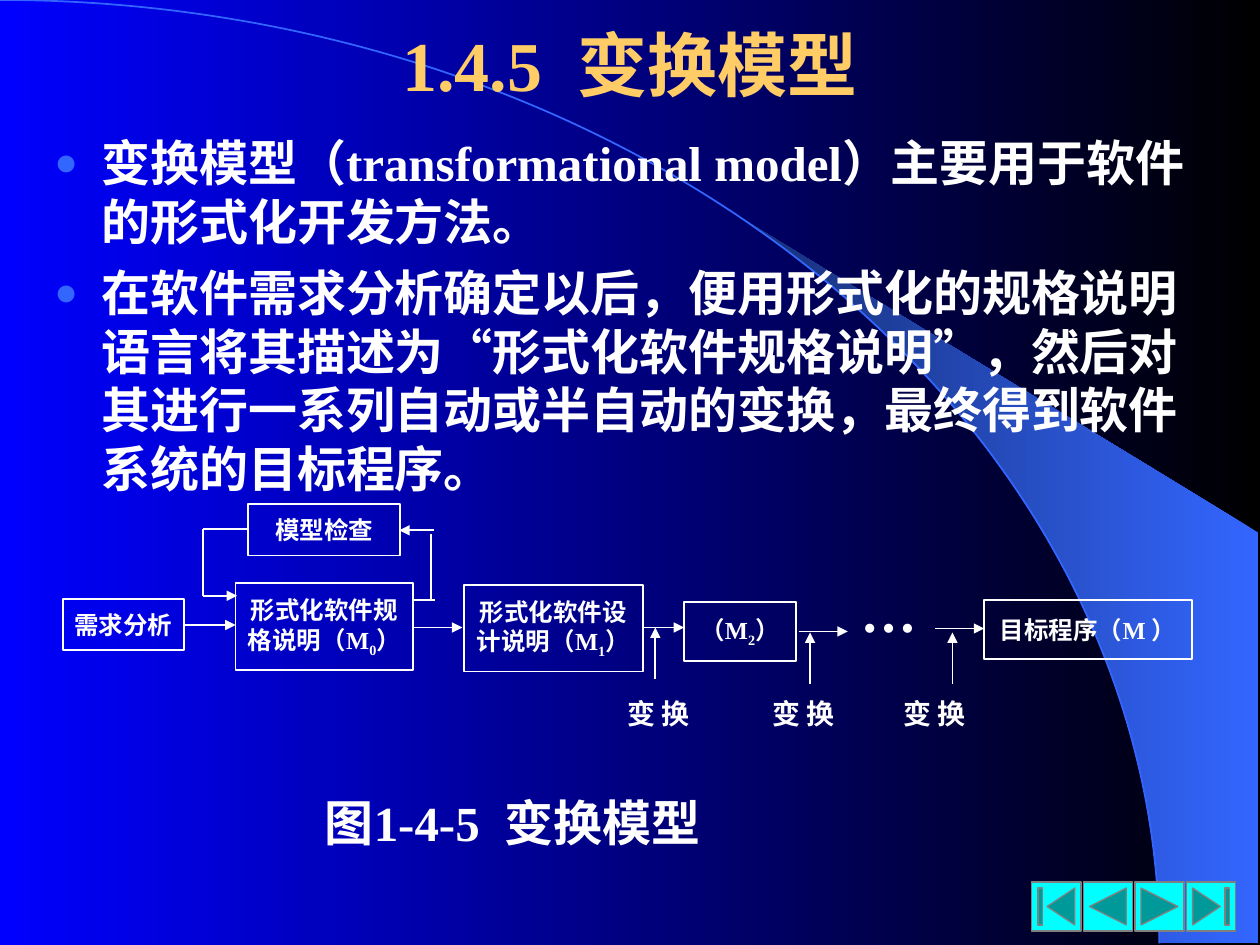
from dataclasses import dataclass
from math import acos, cos, sin

from lxml import etree
from pptx import Presentation
from pptx import util as u
from pptx.dml.color import RGBColor
from pptx.enum import shapes, text
from pptx.oxml import ns

Cm, Pt = u.Cm, u.Pt


@dataclass(frozen=True)
class Theme:
    font: str = "Times New Roman"
    white: str = "FFFFFF"
    title: str = "FFCC66"
    accent: str = "3366FF"
    accent_dark: str = "172F75"
    back_start: str = "000000"
    back_end: str = "0000FF"
    button: str = "00FFFF"
    button_line: str = "808080"
    title_size: int = 40
    body_size: int = 28
    dots_size: int = 32
    label_size: int = 16
    node_size: int = 14


@dataclass(frozen=True)
class Box:
    left: float
    top: float
    width: float
    height: float

    def inner(self, left, top, width, height):
        return Box(self.left + left, self.top + top, width, height)

    def lengths(self):
        return Cm(self.left), Cm(self.top), Cm(self.width), Cm(self.height)


THEME = Theme()


def color(value):
    return RGBColor.from_string(value)


def add_xml(parent, tag, **attributes):
    return etree.SubElement(parent, ns.qn(tag), attributes)


def style_font(paragraph, size, value=THEME.white):
    font = paragraph.font
    font.name, font.size, font.bold = THEME.font, Pt(size), True
    font.color.rgb = color(value)


def set_gradient(fill, start, end):
    fill.gradient()
    fill.gradient_angle = 180
    for stop, value in zip(fill.gradient_stops, (start, end)):
        stop.color.rgb = color(value)


def set_line(shape, value=THEME.white, width=1):
    shape.line.color.rgb = color(value)
    shape.line.width = Pt(width)


def clear_margins(frame):
    frame.margin_left = frame.margin_right = 0
    frame.margin_top = frame.margin_bottom = 0
    frame.word_wrap = True


def add_backdrop(slide, box):
    set_gradient(slide.background.fill, THEME.back_start, THEME.back_end)
    radius_x, radius_y = 23.37, 19.02
    steps = 24
    first_angle = acos(14.96 / radius_x)
    angles = [first_angle * (1 - step / steps) for step in range(steps + 1)]
    edge = [(radius_x * cos(angle), radius_y * (1 - sin(angle))) for angle in angles]
    outline = edge + [(25.37, 19.02), (25.37, 10.74)]
    points = [(Cm(box.left + x), Cm(box.top + y)) for x, y in outline]
    builder = slide.shapes.build_freeform(*points[0])
    builder.add_line_segments(points[1:], close=True)
    swoosh = builder.convert_to_shape()
    swoosh.shadow.inherit = False
    set_gradient(swoosh.fill, THEME.accent, THEME.accent_dark)
    swoosh.line.fill.background()

    arc_box = box.inner(-radius_x, 0, 2 * radius_x, 2 * radius_y)
    arc = slide.shapes.add_shape(shapes.MSO_SHAPE.ARC, *arc_box.lengths())
    arc.shadow.inherit = False
    arc.fill.background()
    set_line(arc, THEME.accent)


def place_placeholder(slide, placeholder, box):
    placeholder.left, placeholder.top, placeholder.width, placeholder.height = box.lengths()
    slide.shapes.element.append(placeholder.element)
    placeholder.text_frame.auto_size = text.MSO_AUTO_SIZE.NONE
    return placeholder.text_frame


def fill_title(slide, box, wording):
    frame = place_placeholder(slide, slide.shapes.title, box)
    frame.vertical_anchor = text.MSO_ANCHOR.MIDDLE
    frame.text = wording
    paragraph = frame.paragraphs[0]
    paragraph.alignment = text.PP_ALIGN.CENTER
    style_font(paragraph, THEME.title_size, THEME.title)


def fill_body(slide, box, items):
    frame = place_placeholder(slide, slide.placeholders[1], box)
    frame.text = "\n".join(items)
    for index, paragraph in enumerate(frame.paragraphs):
        properties = paragraph._p.get_or_add_pPr()
        properties.set("marL", str(Cm(0.95)))
        properties.set("indent", str(Cm(-0.95)))
        add_xml(add_xml(properties, "a:buClr"), "a:srgbClr", val=THEME.accent)
        add_xml(properties, "a:buSzPct", val="80000")
        add_xml(properties, "a:buChar", char="●")
        paragraph.space_before = Pt(7 if index else 0)
        style_font(paragraph, THEME.body_size)


def add_text(slide, box, wording, size, tabs=()):
    frame = slide.shapes.add_textbox(*box.lengths()).text_frame
    clear_margins(frame)
    paragraph = frame.paragraphs[0]
    paragraph.add_run().text = wording
    if tabs:
        tab_list = add_xml(paragraph._p.get_or_add_pPr(), "a:tabLst")
        for position in tabs:
            add_xml(tab_list, "a:tab", pos=str(Cm(position)), algn="l")
    style_font(paragraph, size)


def add_node(slide, box, lines):
    node = slide.shapes.add_shape(shapes.MSO_SHAPE.RECTANGLE, *box.lengths())
    node.shadow.inherit = False
    node.fill.background()
    set_line(node)
    frame = node.text_frame
    clear_margins(frame)
    frame.vertical_anchor = text.MSO_ANCHOR.MIDDLE
    for index, line in enumerate(lines):
        paragraph = frame.add_paragraph() if index else frame.paragraphs[0]
        paragraph.alignment = text.PP_ALIGN.CENTER
        style_font(paragraph, THEME.node_size)
        for part, wording in enumerate(line.split("_")):
            run = paragraph.add_run()
            run.text = wording
            if part == 1:
                run._r.get_or_add_rPr().set("baseline", "-25000")


def add_link(slide, box, start_x, start_y, end_x, end_y, arrow=True):
    ends = (box.left + start_x, box.top + start_y, box.left + end_x, box.top + end_y)
    link = slide.shapes.add_connector(shapes.MSO_CONNECTOR.STRAIGHT, *map(Cm, ends))
    set_line(link)
    if arrow:
        add_xml(link.line._get_or_add_ln(), "a:tailEnd", type="triangle")
    add_xml(link.element.spPr, "a:effectLst")


def add_diagram(slide, box):
    nodes = [
        ((3.48, 1.6, 3.58, 1.75), ["形式化软件规", "格说明（M_0_）"]),
        ((3.73, 0, 3.07, 1.04), ["模型检查"]),
        ((0, 1.91, 2.44, 1.04), ["需求分析"]),
        ((8.08, 1.63, 3.61, 1.75), ["形式化软件设", "计说明（M_1_）"]),
        ((12.52, 1.98, 2.26, 1.19), ["（M_2_）"]),
        ((18.57, 1.93, 4.19, 1.19), ["目标程序（M ）"]),
    ]
    for place, lines in nodes:
        add_node(slide, box.inner(*place), lines)

    plain_links = [
        (7.06, 1.93, 7.49, 1.93),
        (7.42, 1.93, 7.42, 0.61),
        (3.73, 0.51, 2.82, 0.51),
        (2.82, 0.51, 2.82, 1.85),
    ]
    for ends in plain_links:
        add_link(slide, box, *ends, arrow=False)
    flows = [(7.47, 6.78, 0.53), (2.82, 3.51, 1.85), (2.44, 3.48, 2.44), (7.06, 8.05, 2.49),
             (11.68, 12.52, 2.49), (14.83, 15.82, 2.57), (17.58, 18.57, 2.51)]
    for start, end, y in flows:
        add_link(slide, box, start, y, end, y)
    for x, tip in [(11.94, 2.49), (15.06, 2.59), (17.93, 2.59)]:
        add_link(slide, box, x, tip + 1.04, x, tip)

    add_text(slide, box.inner(11.38, 3.89, 8.43, 1.35), "\t".join(["变 换"] * 3),
             THEME.label_size, tabs=(2.92, 5.56))
    add_text(slide, box.inner(16.08, 1.47, 2.06, 1.35), "…", THEME.dots_size)


def add_navigation(slide, box):
    kinds = shapes.MSO_SHAPE
    buttons = [kinds.ACTION_BUTTON_BEGINNING, kinds.ACTION_BUTTON_BACK_OR_PREVIOUS,
               kinds.ACTION_BUTTON_FORWARD_OR_NEXT, kinds.ACTION_BUTTON_END]
    size = box.height
    step = (box.width - size) / (len(buttons) - 1)
    for index, kind in enumerate(buttons):
        button = slide.shapes.add_shape(kind, *box.inner(index * step, 0, size, size).lengths())
        button.shadow.inherit = False
        button.fill.solid()
        button.fill.fore_color.rgb = color(THEME.button)
        set_line(button, THEME.button_line, 0.75)


def main():
    presentation = Presentation()
    presentation.slide_width, presentation.slide_height = Cm(25.4), Cm(19.05)
    slide = presentation.slides.add_slide(presentation.slide_layouts[1])
    add_backdrop(slide, Box(0, 0, 25.4, 19.05))
    fill_title(slide, Box(1.9, 0.43, 21.59, 1.7), "1.4.5  变换模型")
    fill_body(slide, Box(0.84, 2.54, 23.5, 7.62), [
        "变换模型（transformational model）主要用于软件的形式化开发方法。",
        "在软件需求分析确定以后，便用形式化的规格说明语言将其描述为“形式化软件规格说明”，"
        "然后对其进行一系列自动或半自动的变换，最终得到软件系统的目标程序。",
    ])
    add_diagram(slide, Box(1.27, 10.16, 22.76, 5.24))
    add_text(slide, Box(6.55, 15.98, 8.53, 1.45), "图1-4-5  变换模型", THEME.body_size)
    add_navigation(slide, Box(20.8, 17.78, 4.11, 0.99))
    presentation.save("out.pptx")


if __name__ == "__main__":
    main()
